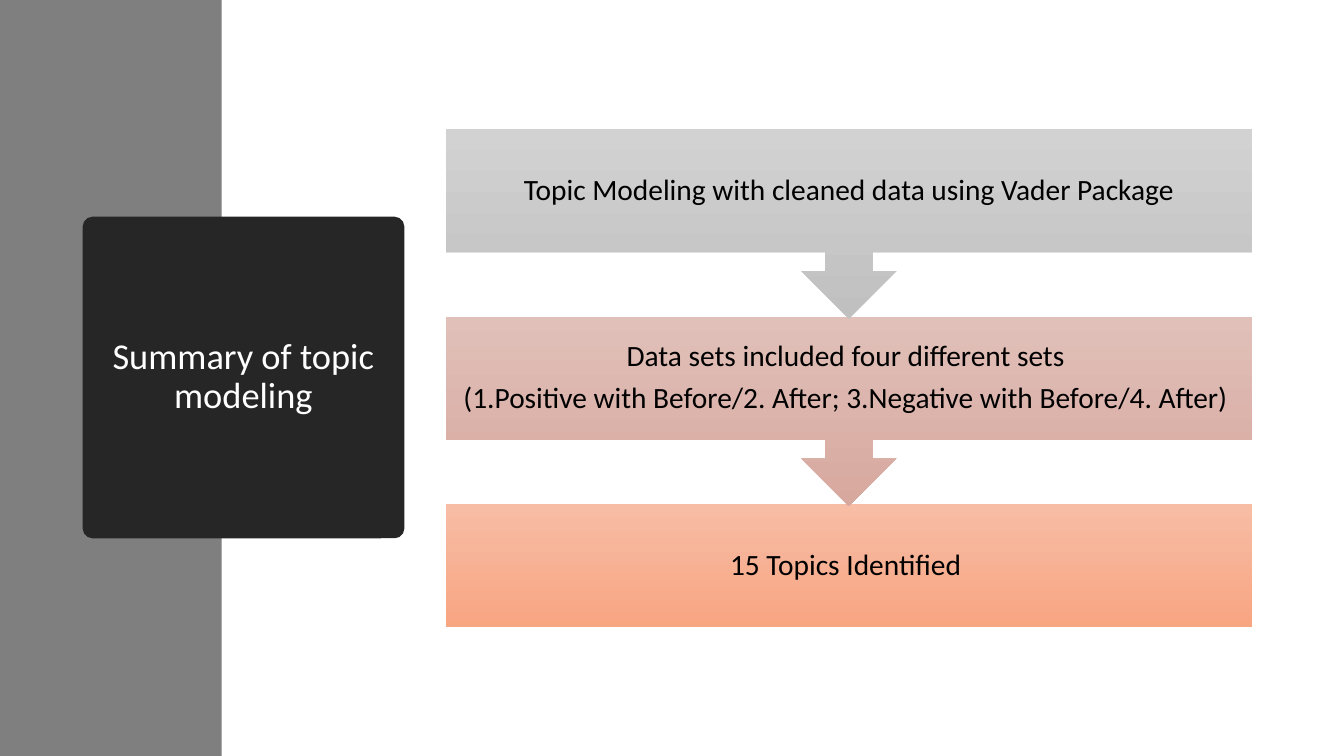
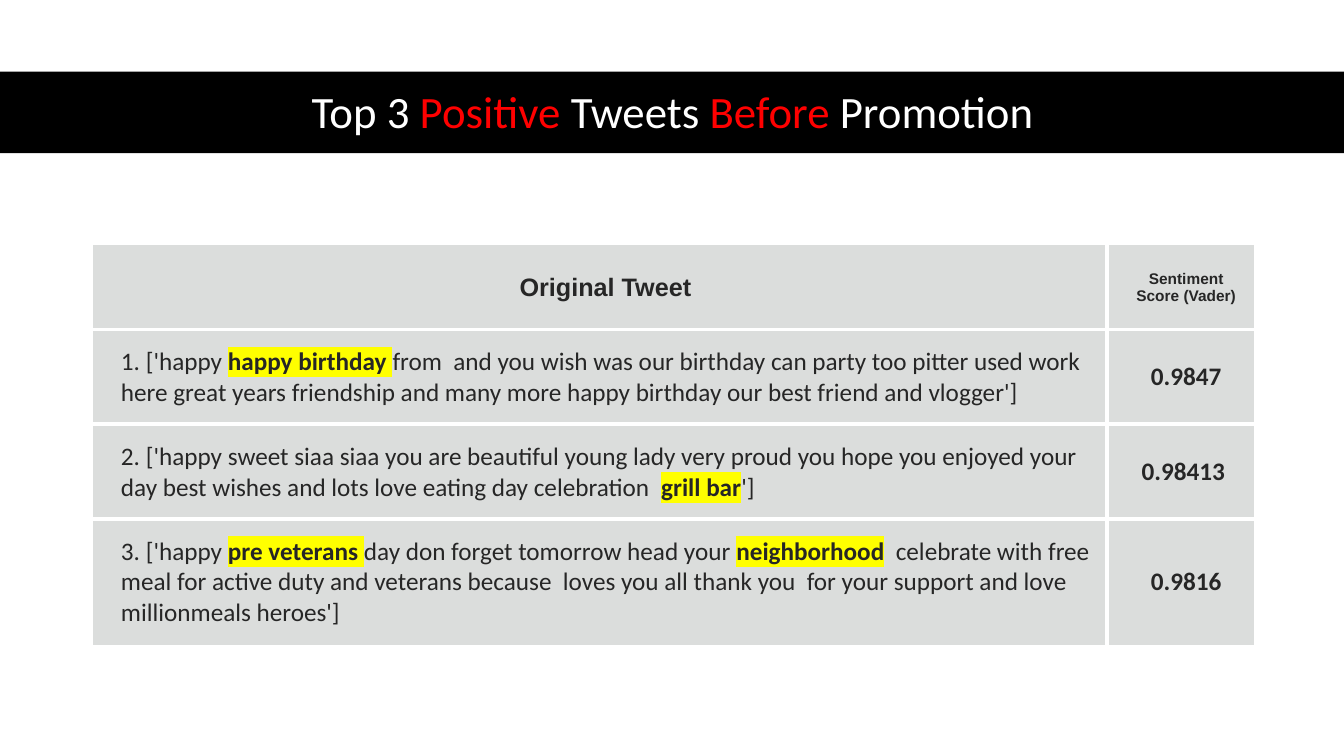
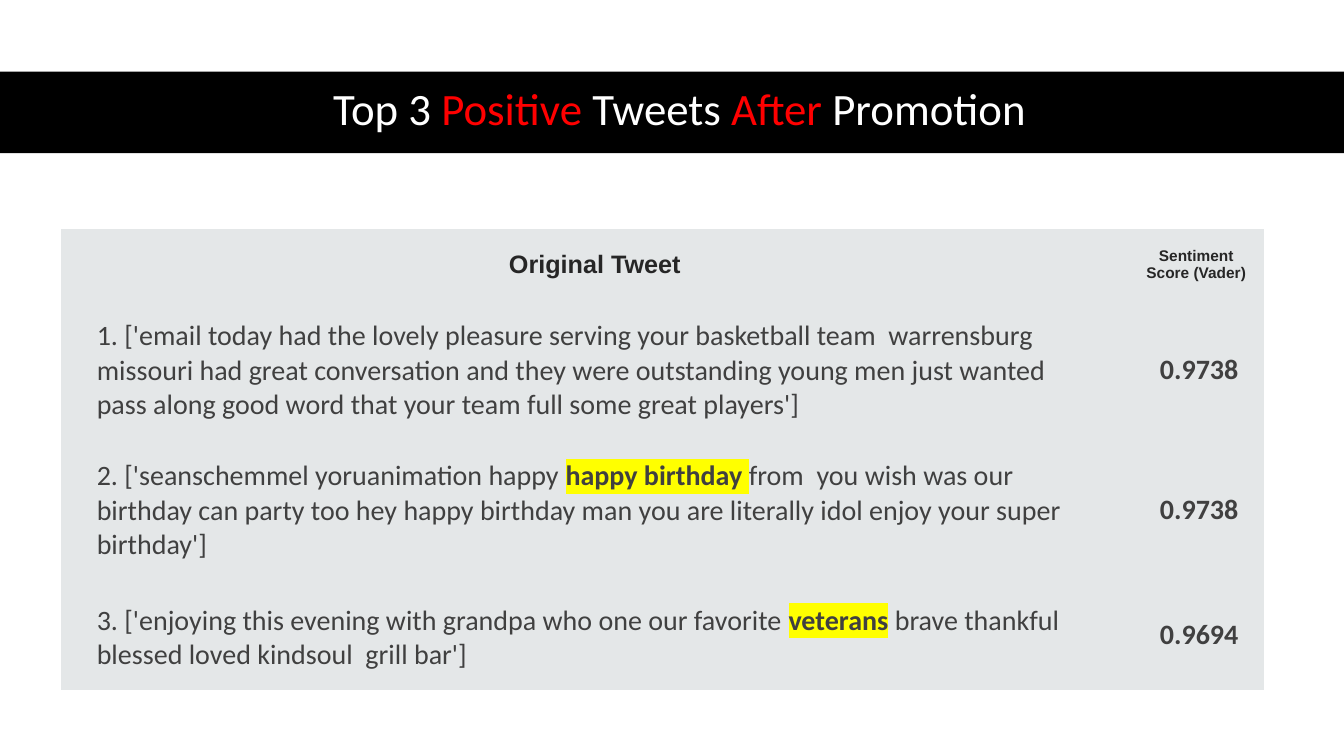
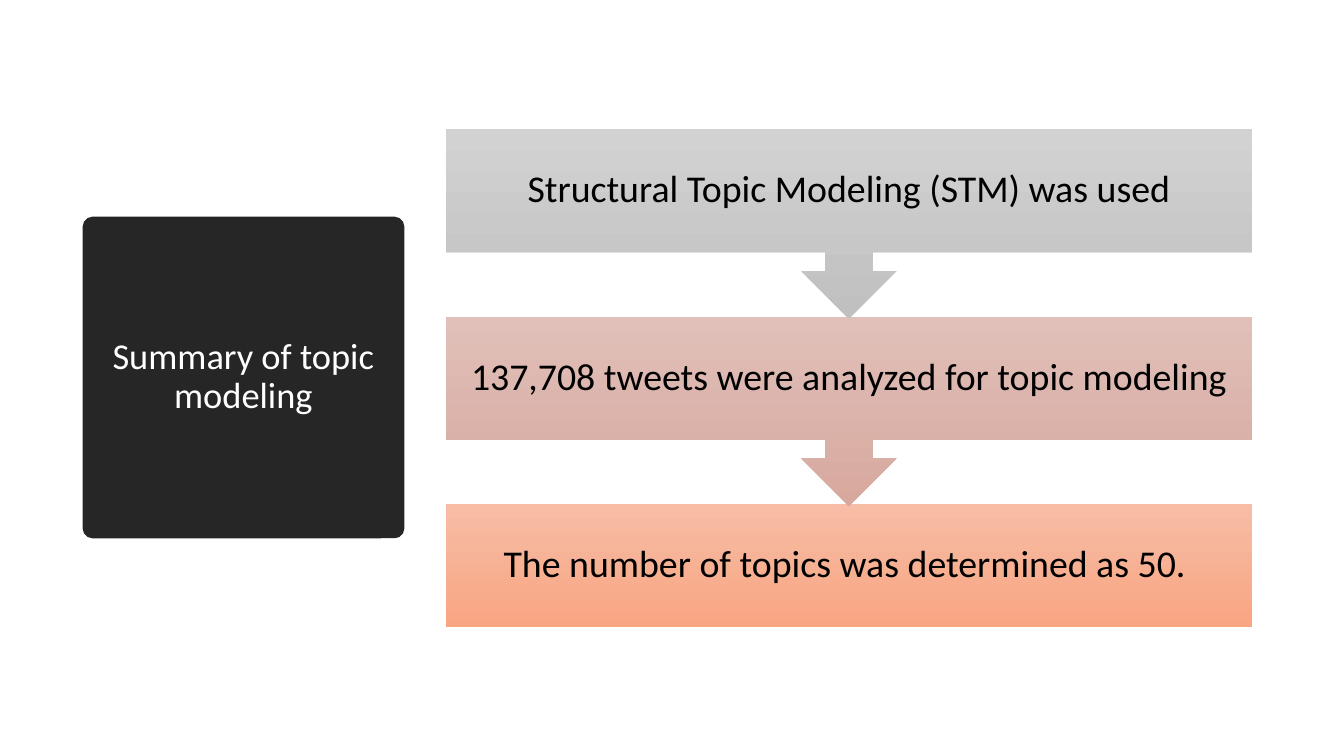
import pptx
import pptx.util
import pptx.dml.color
import pptx.enum.shapes
import pptx.enum.text
import pptx.oxml
import pptx.oxml.ns

Inches, Pt = pptx.util.Inches, pptx.util.Pt
Shape = pptx.enum.shapes.MSO_SHAPE
Align = pptx.enum.text.PP_ALIGN
Anchor = pptx.enum.text.MSO_ANCHOR

# ---- Content: *stars* enclose emphasised words ----
COLORS = {
    "white": "FFFFFF", "black": "000000", "red": "FF0000", "yellow": "FFFF00",
    "side": "7F7F7F", "card": "262626", "ink": "262626", "soft_ink": "404040",
    "warm_cell": "DBDDDC", "cool_cell": "E4E7E8",
}
STEP_GRADIENTS = [("D2D2D2", "C0C0C0"), ("E0C0B9", "D7A89E"), ("F7BDA5", "F8A582")]
HEADER = ["Original Tweet", "Sentiment Score (Vader)"]

SLIDES = [
    {"kind": "steps", "title": "Summary of topic modeling", "side": True,
     "size": 21, "inset": 0.16,
     "steps": [["Topic Modeling with cleaned data using Vader Package"],
               ["Data sets included four different sets ",
                "(1.Positive with Before/2. After; 3.Negative with Before/4. After) "],
               ["15 Topics Identified "]]},
    {"kind": "tweets", "title": "Top 3 *Positive* Tweets *Before* Promotion",
     "title_at": (0.92, 0.74, 11.5, 0.78), "table_at": (0.92, 2.43),
     "columns": [10.06, 1.46], "rows": [0.84, 0.94, 0.94, 1.25],
     "fill": "warm_cell", "ink": "ink", "size": 18, "insets": (0.28, 0.17), "grid": True,
     "tweets": [
         ("1. ['happy *happy birthday *from  and you wish was our birthday can party too pitter "
          "used work  here great years friendship and many more happy birthday our best friend "
          "and vlogger']", "0.9847"),
         ("2. ['happy sweet siaa siaa you are beautiful young lady very proud you hope you "
          "enjoyed your day best wishes and lots love eating day celebration  *grill bar*']",
          "0.98413 "),
         ("3. ['happy *pre veterans *day don forget tomorrow head your *neighborhood*  celebrate "
          "with free meal for active duty and veterans because  loves you all thank you  for "
          "your support and love millionmeals heroes']", "0.9816")]},
    {"kind": "tweets", "title": "Top 3 *Positive* Tweets *After* Promotion",
     "title_at": (0.61, 0.7, 12.26, 0.81), "table_at": (0.61, 2.27),
     "columns": [10.47, 1.46], "rows": [0.65, 1.39, 1.39, 1.09],
     "fill": "cool_cell", "ink": "soft_ink", "size": 20, "insets": (0.35, 0.18), "grid": False,
     "tweets": [
         ("1. ['email today had the lovely pleasure serving your basketball team  warrensburg "
          "missouri had great conversation and they were outstanding young men just wanted pass "
          "along good word that your team full some great players']", "0.9738"),
         ("2. ['seanschemmel yoruanimation happy *happy birthday *from  you wish was our birthday "
          "can party too hey happy birthday man you are literally idol enjoy your super "
          "birthday']", "0.9738"),
         ("3. ['enjoying this evening with grandpa who one our favorite *veterans* brave thankful "
          "blessed loved kindsoul  grill bar']", "0.9694")]},
    {"kind": "steps", "title": "Summary of topic modeling", "side": False,
     "size": 27, "inset": 0.21,
     "steps": [["Structural Topic Modeling (STM) was used"],
               ["137,708 tweets were analyzed for topic modeling"],
               ["The number of topics was determined as 50. "]]},
]

# ---- Layout ----
WIDTH, HEIGHT = 13.33, 7.5
STEP_LEFT, STEP_TOP, STEP_WIDTH = 4.42, 1.28, 8
STEP_PITCH, STEP_HEIGHT, CALLOUT_HEIGHT = 1.86, 1.22, 1.88
BAND = (0, 0.71, WIDTH, 0.81)
CARD = (0.82, 2.15, 3.19, 3.19)
HEADER_INSETS = (0.28, 0.17)
NO_GRID_STYLE = "{2D5ABB26-0587-4C30-8999-92F81FD0307C}"

# ---- Formats ----
TITLE = {"size": 32, "color": "white", "spacing": 0.9, "accent": "red"}
CARD_TITLE = {"size": 26, "color": "white", "spacing": 0.9}
STEP = {"color": "black", "spacing": 0.9}
TABLE_HEAD = {"font": "Arial", "bold": True, "color": "ink"}


def rgb(value):
    return pptx.dml.color.RGBColor.from_string(COLORS.get(value, value))


def set_all(target, **values):
    for name, value in values.items():
        setattr(target, name, value)


def element(markup):
    return pptx.oxml.parse_xml(markup.replace(">", " " + pptx.oxml.ns.nsdecls("a") + ">", 1))


def write(para, text, size, color, font="Calibri", bold=False, align=Align.CENTER,
          spacing=1.0, after=0, accent=None, marker=None):
    set_all(para, alignment=align, line_spacing=spacing, space_after=Pt(after))
    for index, part in enumerate(text.split("*")):
        if not part:
            continue
        strong = index % 2 == 1
        span = para.add_run()
        span.text = part
        set_all(span.font, size=Pt(size), name=font, bold=bold or bool(strong and marker))
        span.font.color.rgb = rgb(accent if strong and accent else color)
        if strong and marker:
            fill = span.font._element.find(pptx.oxml.ns.qn("a:solidFill"))
            fill.addnext(element(
                f'<a:highlight><a:srgbClr val="{COLORS[marker]}"/></a:highlight>'))


def add_block(page, kind, at, color=None, gradient=None):
    shape = page.shapes.add_shape(kind, *map(Inches, at))
    shape.shadow.inherit = False
    shape.line.fill.background()
    if gradient:
        shape.fill.gradient()
        shape.fill.gradient_angle = 270
        for stop, value in zip(shape.fill.gradient_stops, gradient):
            stop.color.rgb = rgb(value)
    else:
        shape.fill.solid()
        shape.fill.fore_color.rgb = rgb(color)
    return shape


def build_steps(page, data):
    if data["side"]:
        add_block(page, Shape.RECTANGLE, (0, 0, 2.2, HEIGHT), "side")
    card = add_block(page, Shape.ROUNDED_RECTANGLE, CARD, "card")
    card.adjustments[0] = 0.03
    set_all(card.text_frame, word_wrap=True, vertical_anchor=Anchor.MIDDLE)
    write(card.text_frame.paragraphs[0], data["title"], **CARD_TITLE)

    # Lowest step first, so that each arrow tip lies over the next step
    last = len(data["steps"]) - 1
    for index in range(last, -1, -1):
        kind, height = ((Shape.RECTANGLE, STEP_HEIGHT) if index == last
                        else (Shape.DOWN_ARROW_CALLOUT, CALLOUT_HEIGHT))
        at = (STEP_LEFT, STEP_TOP + index * STEP_PITCH, STEP_WIDTH, height)
        box = add_block(page, kind, at, gradient=STEP_GRADIENTS[index]).text_frame
        inset = Inches(data["inset"])
        set_all(box, word_wrap=True, vertical_anchor=Anchor.MIDDLE, margin_left=inset,
                margin_right=inset, margin_top=inset, margin_bottom=inset)
        for number, line in enumerate(data["steps"][index]):
            para = box.add_paragraph() if number else box.paragraphs[0]
            write(para, line, size=data["size"], after=round(0.35 * data["size"], 1), **STEP)


def add_borders(cell, sides):
    properties = cell._tc.get_or_add_tcPr()
    for index, side in enumerate(side for side in "LRTB" if side in sides):
        properties.insert(index, element(
            f'<a:ln{side} w="{Pt(3)}"><a:solidFill><a:srgbClr val="{COLORS["white"]}"/>'
            f'</a:solidFill></a:ln{side}>'))


def build_tweets(page, data):
    add_block(page, Shape.RECTANGLE, BAND, "black")
    title = page.shapes.add_textbox(*map(Inches, data["title_at"])).text_frame
    set_all(title, word_wrap=True, vertical_anchor=Anchor.MIDDLE)
    write(title.paragraphs[0], data["title"], **TITLE)

    columns, heights = data["columns"], data["rows"]
    table = page.shapes.add_table(
        len(heights), len(columns), *map(Inches, data["table_at"]),
        Inches(sum(columns)), Inches(sum(heights))).table
    set_all(table, first_row=False, horz_banding=False)
    table._tbl.tblPr.find(pptx.oxml.ns.qn("a:tableStyleId")).text = NO_GRID_STYLE
    for column, width in zip(table.columns, columns):
        column.width = Inches(width)
    for row, height in zip(table.rows, heights):
        row.height = Inches(height)

    for r, texts in enumerate([HEADER] + data["tweets"]):
        for c, text in enumerate(texts):
            cell = table.cell(r, c)
            is_tweet = r > 0 and c == 0
            left, other = map(Inches, data["insets"] if r else HEADER_INSETS)
            set_all(cell, margin_left=left, margin_right=other, margin_top=other,
                    margin_bottom=other,
                    vertical_anchor=Anchor.BOTTOM if is_tweet else Anchor.MIDDLE)
            cell.fill.solid()
            cell.fill.fore_color.rgb = rgb(data["fill"])
            if data["grid"]:
                add_borders(cell, ("L" if c else "R") + ("T" if r else "")
                            + ("B" if r < len(heights) - 1 else ""))
            para = cell.text_frame.paragraphs[0]
            if r == 0:
                write(para, text, size=11 if c else 18, **TABLE_HEAD)
            else:
                write(para, text, data["size"], data["ink"], bold=not is_tweet,
                      align=Align.LEFT if is_tweet else Align.CENTER, marker="yellow")


def main():
    deck = pptx.Presentation()
    set_all(deck, slide_width=Inches(WIDTH), slide_height=Inches(HEIGHT))
    builders = {"steps": build_steps, "tweets": build_tweets}
    for data in SLIDES:
        page = deck.slides.add_slide(deck.slide_layouts[6])
        builders[data["kind"]](page, data)
    deck.save("out.pptx")


if __name__ == "__main__":
    main()
